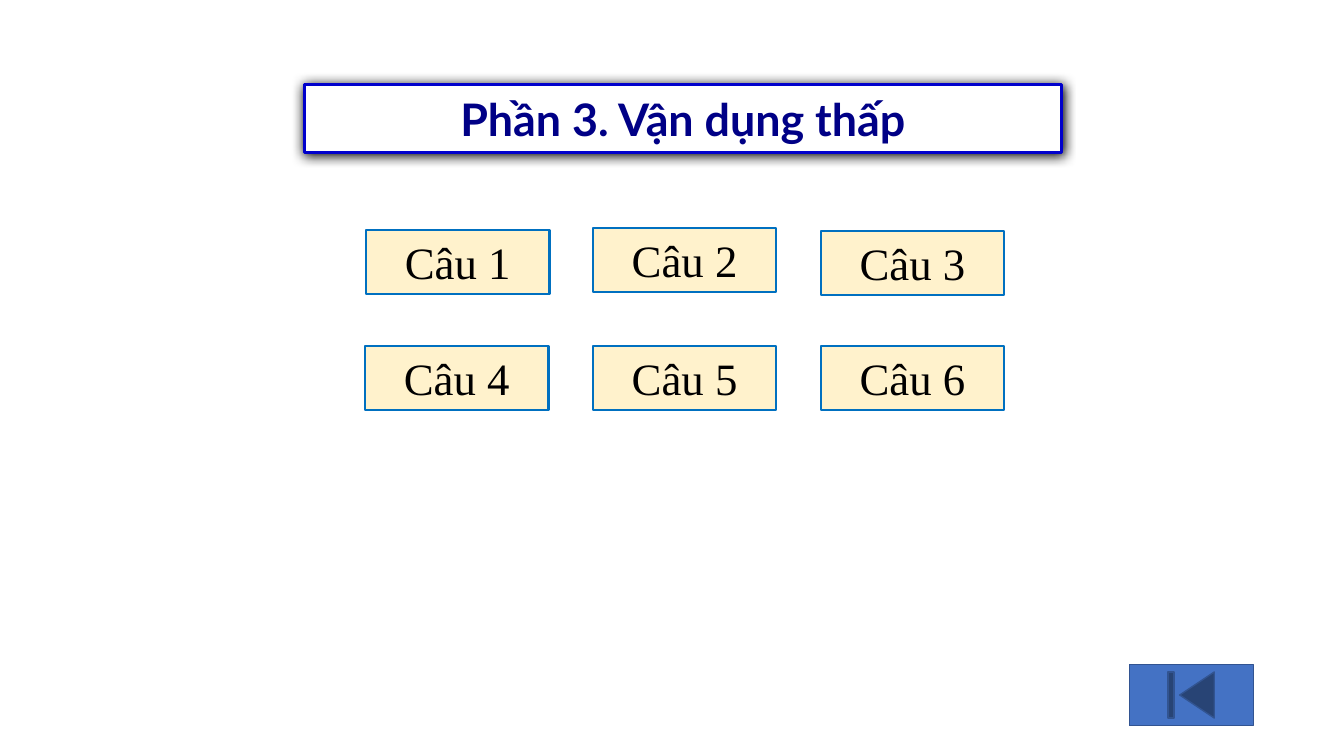
from lxml import etree
from pptx import Presentation
from pptx.dml.color import RGBColor
from pptx.enum.shapes import MSO_SHAPE
from pptx.enum.text import MSO_ANCHOR, MSO_AUTO_SIZE, PP_ALIGN
from pptx.oxml import parse_xml
from pptx.oxml.ns import nsdecls, qn
from pptx.util import Inches, Pt


def paint(shape, fill, line, width):
    shape.fill.solid()
    shape.fill.fore_color.rgb = RGBColor.from_string(fill)
    shape.line.color.rgb = RGBColor.from_string(line)
    shape.line.width = Pt(width)


def write(shape, text, font_name, color, bold):
    paragraph = shape.text_frame.paragraphs[0]
    paragraph.text = text
    paragraph.alignment = PP_ALIGN.CENTER
    paragraph.font.name = font_name
    paragraph.font.size = Pt(32)
    paragraph.font.bold = bold
    paragraph.font.color.rgb = RGBColor.from_string(color)


prs = Presentation()
prs.slide_width, prs.slide_height = Inches(13.33), Inches(7.5)
slide = prs.slides.add_slide(prs.slide_layouts[5])

# Section heading: the title as a pill with a soft shadow
heading = slide.shapes.title
heading.left, heading.top = Inches(3.02), Inches(0.84)
heading.width, heading.height = Inches(7.51), Inches(0.67)
heading_props = heading.element.spPr
heading_props.append(parse_xml(
    f'<a:prstGeom {nsdecls("a")} prst="roundRect"><a:avLst>'
    '<a:gd name="adj" fmla="val 50000"/></a:avLst></a:prstGeom>'))
paint(heading, "FFFFFF", "0000CC", 2.25)
effects = etree.SubElement(heading_props, qn("a:effectLst"))
shadow = etree.SubElement(effects, qn("a:outerShdw"), blurRad=str(Pt(8.5)),
                          dist=str(Pt(1)), dir="5400000", algn="ctr", rotWithShape="0")
etree.SubElement(shadow, qn("a:srgbClr"), val="000000")
heading.text_frame.auto_size = MSO_AUTO_SIZE.NONE
heading.text_frame.word_wrap = False
heading.text_frame.vertical_anchor = MSO_ANCHOR.MIDDLE
write(heading, "Phần 3. Vận dụng thấp", "Lato", "000086", True)

# Question cards, three to a row; the first row is slightly uneven
question_spots = [(3.63, 2.28), (5.88, 2.26), (8.14, 2.29),
                  (3.62, 3.43), (5.88, 3.43), (8.14, 3.43)]
for number, (left, top) in enumerate(question_spots, start=1):
    question = slide.shapes.add_textbox(Inches(left), Inches(top), Inches(1.82), Inches(0.64))
    paint(question, "FFF2CC", "0070C0", 1.5)
    question.text_frame.word_wrap = True
    question.text_frame.auto_size = MSO_AUTO_SIZE.SHAPE_TO_FIT_TEXT
    write(question, f"Câu {number}", "Times New Roman", "000000", False)

# Button back to the beginning
back_button = slide.shapes.add_shape(MSO_SHAPE.ACTION_BUTTON_BEGINNING, Inches(11.2),
                                     Inches(6.59), Inches(1.23), Inches(0.61))
back_button.shadow.inherit = False
paint(back_button, "4472C4", "325491", 1)

prs.save("out.pptx")
